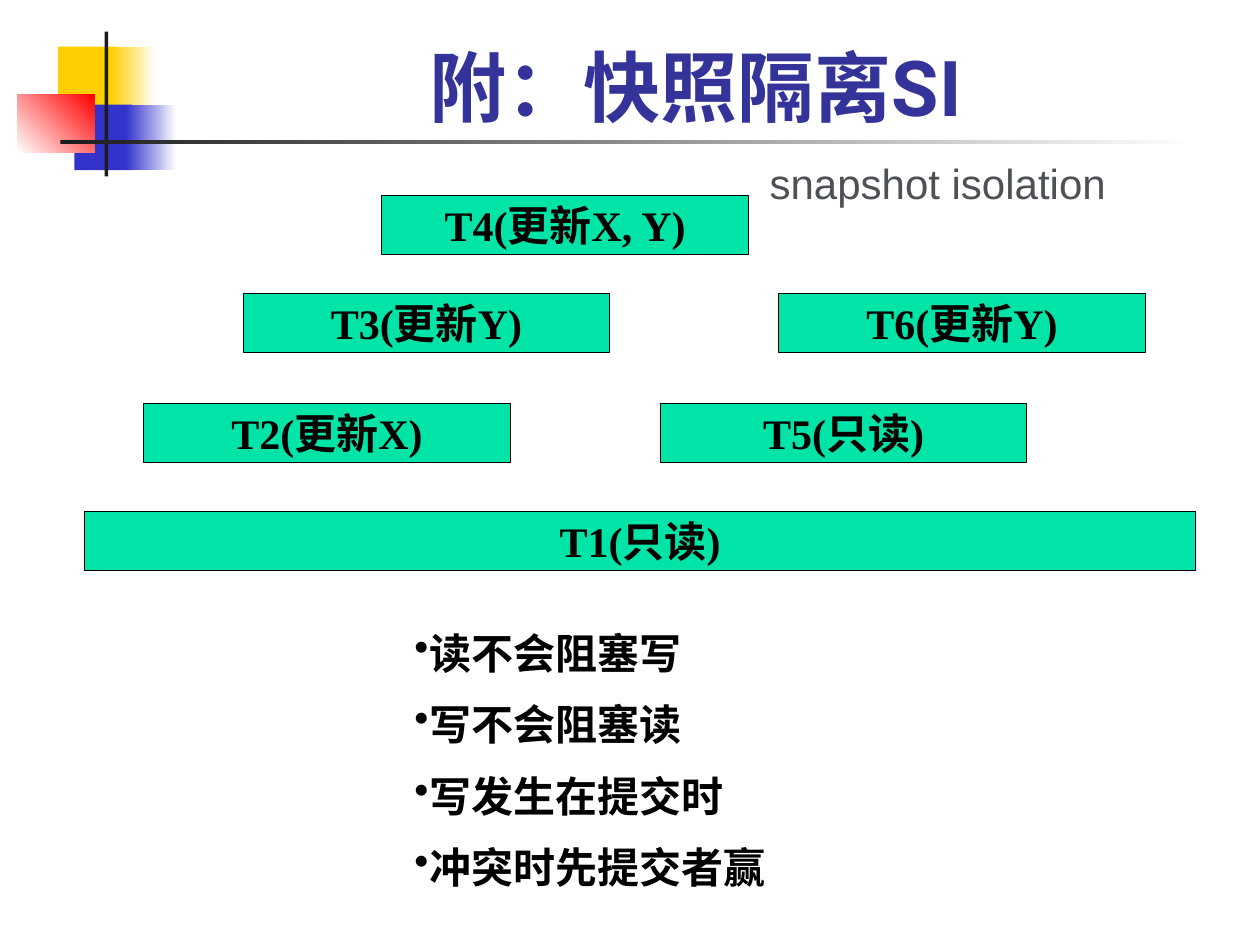
"""Build a slide on snapshot isolation with overlapping transactions."""
from dataclasses import dataclass

import pptx
import pptx.dml.color
import pptx.enum.shapes
import pptx.enum.text
import pptx.oxml
import pptx.oxml.ns
import pptx.util
from pptx.util import Inches


@dataclass(frozen=True)
class Theme:
    yellow: str = "FFCF01"
    blue: str = "3333CC"
    red: str = "FF0000"
    dark: str = "1C1C1C"
    white: str = "FFFFFF"
    black: str = "000000"
    title: str = "333399"
    block: str = "00E4A8"
    subtitle: str = "4D5156"
    title_size: int = 44
    body_size: int = 24


theme = Theme()
rgb = pptx.dml.color.RGBColor.from_string
align = pptx.enum.text.PP_ALIGN
anchor = pptx.enum.text.MSO_ANCHOR


def add_box(left, top, width, height, colors, angle=0):
    box = slide.shapes.add_shape(
        pptx.enum.shapes.MSO_SHAPE.RECTANGLE,
        Inches(left), Inches(top), Inches(width), Inches(height))
    box.shadow.inherit = False
    box.line.fill.background()
    if len(colors) == 1:
        box.fill.solid()
        box.fill.fore_color.rgb = rgb(colors[0])
    else:
        box.fill.gradient()
        box.fill.gradient_angle = angle
        for stop, position, color in zip(box.fill.gradient_stops, (0, 1), colors):
            stop.position = position
            stop.color.rgb = rgb(color)
    return box


def add_text(paragraph, text, font_name, size, color, bold=True):
    run = paragraph.add_run()
    run.text = text
    run.font.name = font_name
    run.font.size = pptx.util.Pt(size)
    run.font.bold = bold
    run.font.color.rgb = rgb(color)


deck = pptx.Presentation()
deck.slide_width, deck.slide_height = Inches(10), Inches(7.5)
slide = deck.slides.add_slide(deck.slide_layouts[6])

ornaments = [
    (0.46, 0.37, 0.48, 0.52, [theme.yellow], 0),
    (0.88, 0.37, 0.36, 0.52, [theme.yellow, theme.white], 0),
    (0.59, 0.83, 0.46, 0.52, [theme.blue], 0),
    (1, 0.83, 0.4, 0.52, [theme.blue, theme.white], 0),
    (0.14, 0.75, 0.61, 0.46, [theme.white, theme.red], 45),
    (0.83, 0.25, 0.03, 1.15, [theme.dark], 0),
    (0.48, 1.11, 9, 0.03, [theme.dark, theme.white], 0),
]
for ornament in ornaments:
    add_box(*ornament)

title = slide.shapes.add_textbox(
    Inches(1.26), Inches(0.17), Inches(8.52), Inches(0.93)).text_frame
title.word_wrap = True
title.vertical_anchor = anchor.BOTTOM
title.paragraphs[0].alignment = align.CENTER
add_text(title.paragraphs[0], "附：快照隔离SI", "Roboto", theme.title_size, theme.title)

transactions = [
    ("T1(只读)", 0.67, 4.06, 8.82),
    ("T2(更新X)", 1.14, 3.2, 2.91),
    ("T3(更新Y)", 1.93, 2.33, 2.91),
    ("T4(更新X, Y)", 3.03, 1.55, 2.91),
    ("T5(只读)", 5.24, 3.2, 2.91),
    ("T6(更新Y)", 6.18, 2.33, 2.91),
]
for label, left, top, width in transactions:
    transaction = add_box(left, top, width, 0.47, [theme.block])
    transaction.line.color.rgb = rgb(theme.black)
    transaction.line.width = pptx.util.Pt(0.75)
    frame = transaction.text_frame
    frame.word_wrap = False
    frame.vertical_anchor = anchor.MIDDLE
    frame.paragraphs[0].alignment = align.CENTER
    add_text(frame.paragraphs[0], label, "Times New Roman", theme.body_size, theme.black)

rules = slide.shapes.add_textbox(
    Inches(3.19), Inches(4.93), Inches(3.7), Inches(2.3)).text_frame
rules.word_wrap = True
for index, rule in enumerate(["读不会阻塞写", "写不会阻塞读", "写发生在提交时", "冲突时先提交者赢"]):
    paragraph = rules.add_paragraph() if index else rules.paragraphs[0]
    bullet = pptx.oxml.parse_xml(
        f'<a:buChar {pptx.oxml.ns.nsdecls("a")} char="•"/>')
    paragraph._p.get_or_add_pPr().append(bullet)
    if index:
        paragraph.space_before = pptx.util.Pt(theme.body_size / 2)
    add_text(paragraph, rule, "Times New Roman", theme.body_size, theme.black)

subtitle = slide.shapes.add_textbox(
    Inches(6.01), Inches(1.2), Inches(3.9), Inches(0.5)).text_frame
subtitle.word_wrap = True
add_text(subtitle.paragraphs[0], "snapshot isolation", "Arial",
         theme.body_size, theme.subtitle, bold=False)

deck.save("out.pptx")
